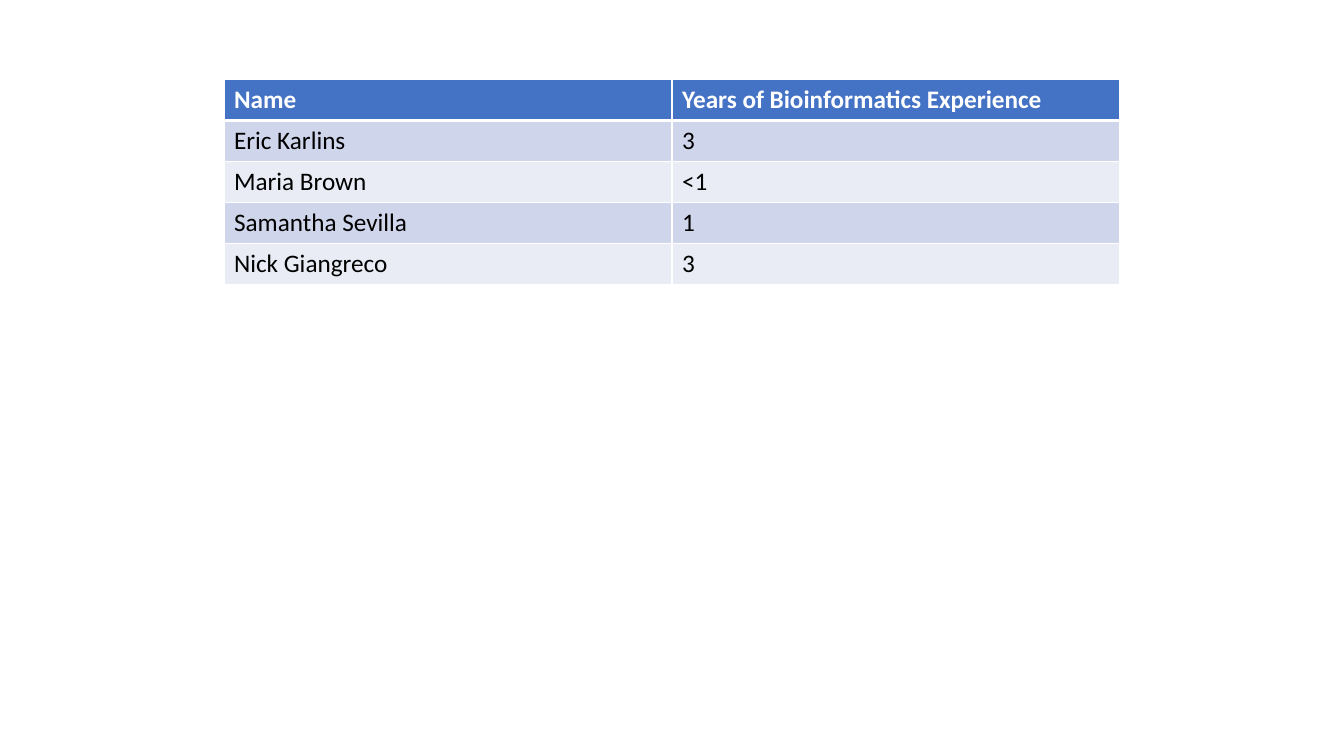
from dataclasses import dataclass

from lxml.etree import SubElement
from pptx import Presentation
from pptx.dml.color import RGBColor
from pptx.oxml.ns import qn
from pptx.table import _Cell
from pptx.util import Cm, Pt

WHITE = "FFFFFF"
BLACK = "000000"
HEADER_BLUE = "4472C4"
BANDS = ("CFD5EA", "E9EBF5")


@dataclass(frozen=True)
class Member:
    name: str
    experience: str


@dataclass(frozen=True)
class RowStyle:
    fill: str
    text: str
    bold: bool
    top: int
    bottom: int


HEADINGS = Member("Name", "Years of Bioinformatics Experience")
MEMBERS = (
    Member("Eric Karlins", "3"),
    Member("Maria Brown", "<1"),
    Member("Samantha Sevilla", "1"),
    Member("Nick Giangreco", "3"),
)


def color(value: str) -> RGBColor:
    return RGBColor.from_string(value)


def row_style(index: int) -> RowStyle:
    """Bold blue header above alternating bands, split by a thicker rule."""
    if index == 0:
        return RowStyle(HEADER_BLUE, WHITE, True, 1, 3)
    return RowStyle(BANDS[(index - 1) % 2], BLACK, False, 3 if index == 1 else 1, 1)


def draw_borders(cell: _Cell, style: RowStyle) -> None:
    properties = cell._tc.get_or_add_tcPr()
    widths = {"a:lnL": 1, "a:lnR": 1, "a:lnT": style.top, "a:lnB": style.bottom}
    for side, width in widths.items():
        line = SubElement(properties, qn(side), w=str(Pt(width)))
        SubElement(SubElement(line, qn("a:solidFill")), qn("a:srgbClr"), val=WHITE)


def draw_cell(cell: _Cell, text: str, style: RowStyle) -> None:
    draw_borders(cell, style)
    cell.fill.solid()
    cell.fill.fore_color.rgb = color(style.fill)
    cell.text = text
    font = cell.text_frame.paragraphs[0].font
    font.name = "Calibri"
    font.size = Pt(18)
    font.bold = style.bold
    font.color.rgb = color(style.text)


def main() -> None:
    presentation = Presentation()
    presentation.slide_width = Cm(33.87)
    presentation.slide_height = Cm(19.05)
    slide = presentation.slides.add_slide(presentation.slide_layouts[6])

    # Experience table, centred across the slide
    rows = (HEADINGS, *MEMBERS)
    width, row_height = Cm(22.58), Cm(1.03)
    left = (presentation.slide_width - width) // 2
    experience_table = slide.shapes.add_table(
        len(rows), 2, left, Cm(2.01), width, row_height * len(rows)
    ).table

    # Header and members
    for index, member in enumerate(rows):
        style = row_style(index)
        draw_cell(experience_table.cell(index, 0), member.name, style)
        draw_cell(experience_table.cell(index, 1), member.experience, style)

    presentation.save("out.pptx")


if __name__ == "__main__":
    main()
